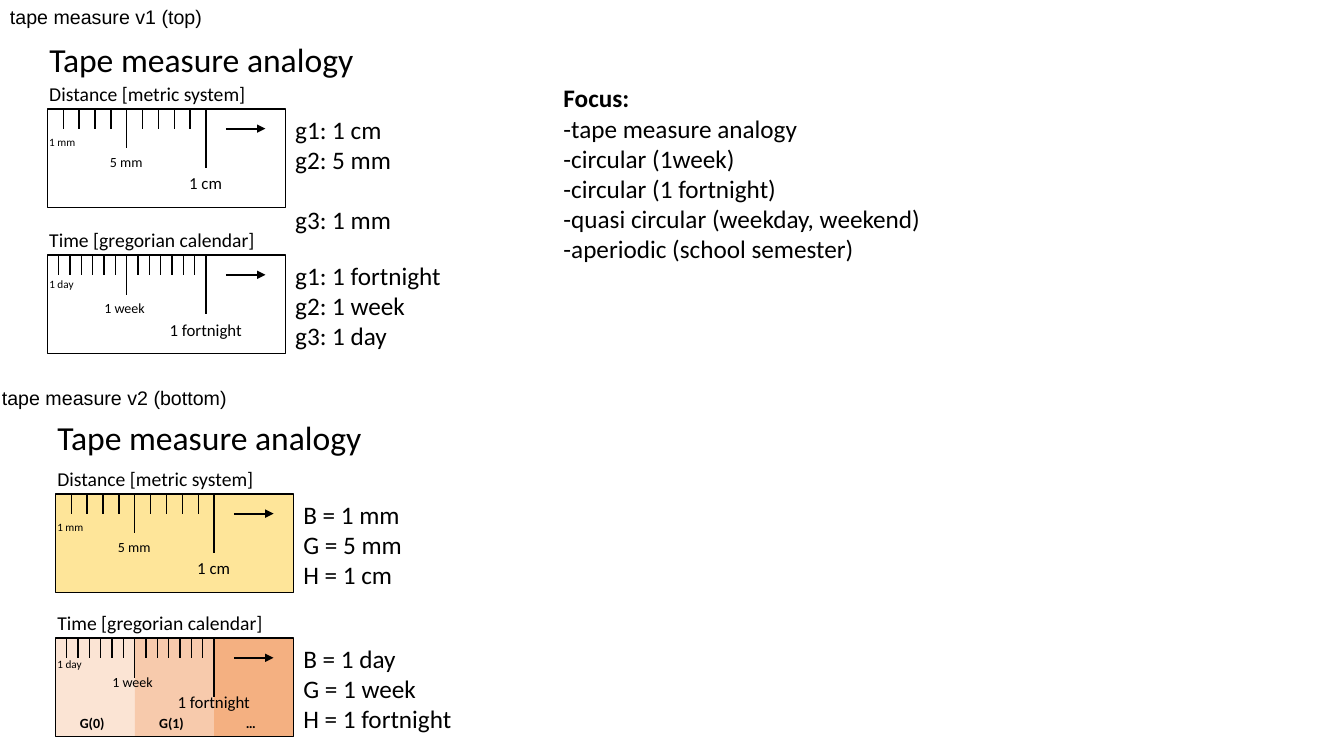
import pptx
import pptx.util
import pptx.dml.color
import pptx.enum.shapes
import pptx.enum.text
import pptx.oxml

UNIT = pptx.util.Inches(0.1)
TAPE_WIDTH, TAPE_HEIGHT = 23.6, 9.8
COLUMN, ROW = TAPE_WIDTH / 3, TAPE_HEIGHT / 5
INDENT = 0.8
COLORS = {"ink": "000000", "yellow": "FEE599", "week 0": "FBE4D4",
          "week 1": "F7CAAC", "later": "F4B081"}


def units(*lengths):
    return [round(length * UNIT) for length in lengths]


def color(name):
    return pptx.dml.color.RGBColor.from_string(COLORS[name])


def paint(shape, fill):
    if fill:
        shape.fill.solid()
        shape.fill.fore_color.rgb = color(fill)
    else:
        shape.fill.background()


def add_text(page, text, left, top, width, height, size=18, font="Calibri",
             bold_runs=0, centered=False, wrap=True, fill=None):
    box = page.shapes.add_textbox(*units(left, top, width, height))
    paint(box, fill)
    frame = box.text_frame
    frame.word_wrap = wrap
    for number, line in enumerate(text.split("\n")):
        para = frame.add_paragraph() if number else frame.paragraphs[0]
        para.text = line
        if centered:
            para.alignment = pptx.enum.text.PP_ALIGN.CENTER
        for index, span in enumerate(para.runs):
            span.font.size = pptx.util.Pt(size)
            span.font.name = font
            span.font.bold = number == 0 and index < bold_runs
            span.font.color.rgb = color("ink")


def add_box(page, left, top, width, fill=None, outlined=True):
    box = page.shapes.add_shape(pptx.enum.shapes.MSO_SHAPE.RECTANGLE,
                                *units(left, top, width, TAPE_HEIGHT))
    box.shadow.inherit = False
    paint(box, fill)
    if outlined:
        box.line.color.rgb = color("ink")
        box.line.width = pptx.util.Pt(1)
    else:
        box.line.fill.background()


def add_line(page, x1, y1, x2, y2, weight=1, arrow=False):
    line = page.shapes.add_connector(pptx.enum.shapes.MSO_CONNECTOR.STRAIGHT,
                                     *units(x1, y1, x2, y2))
    line.line.color.rgb = color("ink")
    line.line.width = pptx.util.Pt(weight)
    if arrow:
        tail = pptx.oxml.parse_xml(
            '<a:tailEnd xmlns:a="http://schemas.openxmlformats.org/drawingml/2006/main"'
            ' type="triangle"/>')
        line.line._get_or_add_ln().append(tail)
    effects = pptx.oxml.parse_xml(
        '<a:effectLst xmlns:a="http://schemas.openxmlformats.org/drawingml/2006/main"/>')
    line._element.spPr.append(effects)


def add_tape(page, left, top, caption, caption_width, steps, labels, legend,
             legend_width, label_rows=(1.1, 2, 3), fill=None, segments=()):
    for index, (segment_fill, name) in enumerate(segments):
        add_box(page, left + index * COLUMN, top, COLUMN, segment_fill, outlined=False)
    add_box(page, left, top, TAPE_WIDTH, fill)
    add_text(page, caption, left - INDENT, top - 3.15, caption_width, 3.4, size=14)
    add_text(page, legend, left + TAPE_WIDTH, top, legend_width, 10.1)

    for step in range(1, 2 * steps + 1):
        x = left + step * COLUMN / steps
        rows = 1 if step % steps else 1 + step // steps
        add_line(page, x, top, x, top + rows * ROW)
    add_line(page, left + 2.25 * COLUMN, top + ROW, left + 2.75 * COLUMN, top + ROW,
             weight=1.5, arrow=True)

    heights, sizes = (2.4, 2.7, 3), (8, 10, 12)
    for index, (text, width) in enumerate(labels):
        x = left + index * COLUMN - width / 2 if index else left - INDENT
        add_text(page, text, x, top + label_rows[index] * ROW, width, heights[index],
                 size=sizes[index], wrap=False, fill=fill if index else None)

    for index, (segment_fill, name) in enumerate(segments):
        add_text(page, name, left + index * COLUMN + 0.6, top + 7.05, 6.4, 2.7,
                 size=10, bold_runs=1, centered=True)


def main():
    deck = pptx.Presentation()
    deck.slide_width = pptx.util.Inches(13.33)
    deck.slide_height = pptx.util.Inches(7.5)
    page = deck.slides.add_slide(deck.slide_layouts[6])

    distance = dict(caption="Distance [metric system]", caption_width=21.6, steps=5,
                    labels=[("1 mm", 4.6), ("5 mm", 5.3), ("1 cm", 5.3)])
    time = dict(caption="Time [gregorian calendar]", caption_width=22.6, steps=7,
                labels=[("1 day", 4.8), ("1 week ", 6.4), ("1 fortnight", 9.2)],
                legend_width=19.3)

    add_text(page, "tape measure v1 (top)", 0, 0, 26.4, 3.4, size=14, font="Arial")
    add_text(page, "tape measure v2 (bottom)", -0.8, 37.8, 33.5, 3.4, size=14, font="Arial")
    for left, top in ((3.9, 3.4), (4.7, 40.9)):
        add_text(page, "Tape measure analogy", left, top, 32.5, 5, size=24)
    add_text(page, "Focus:\v-tape measure analogy\n-circular (1week)\n"
             "-circular (1 fortnight)\n-quasi circular (weekday, weekend)\n"
             "-aperiodic (school semester)", 54.9, 7.7, 39.9, 19.2, bold_runs=1)

    add_tape(page, 4.7, 10.8, legend="g1: 1 cm\ng2: 5 mm \vg3: 1 mm",
             legend_width=12, **distance)
    add_tape(page, 4.7, 25.3, legend="g1: 1 fortnight\ng2: 1 week\vg3: 1 day",
             label_rows=(0.9, 2, 3), **time)
    add_tape(page, 5.5, 49, legend="B = 1 mm\nG = 5 mm \vH = 1 cm",
             legend_width=14.4, fill="yellow", **distance)
    add_tape(page, 5.5, 63.3, legend="B = 1 day\nG = 1 week\vH = 1 fortnight",
             label_rows=(0.7, 1.55, 2.45),
             segments=[("week 0", "G(0) "), ("week 1", "G(1) "), ("later", "… ")], **time)

    deck.save("out.pptx")


main()
